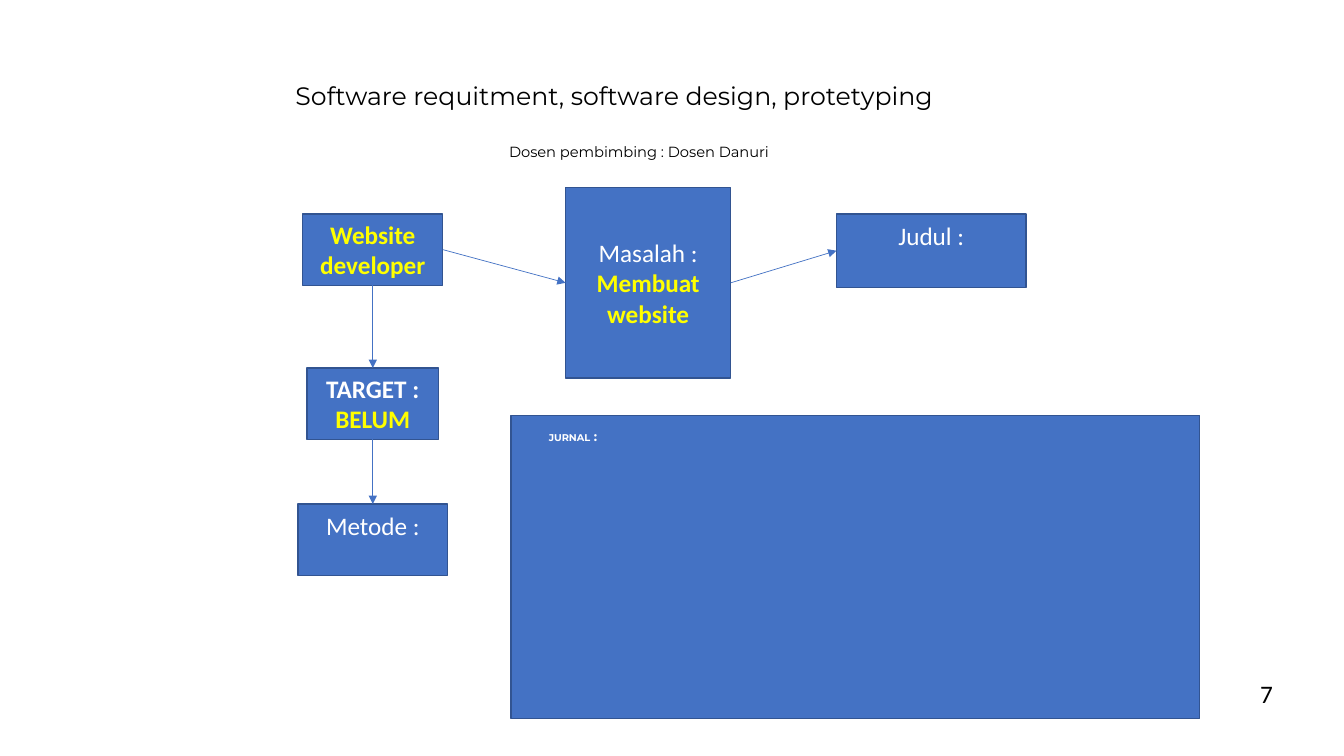
import pptx
import pptx.util
import pptx.dml.color
import pptx.enum.shapes
import pptx.enum.text
import pptx.oxml
import pptx.oxml.ns

Pt = pptx.util.Pt
BLUE, EDGE = "4472C4", "325491"
WHITE, YELLOW, BLACK = "FFFFFF", "FFFF00", "000000"
TOP, LEFT, BOTTOM, RIGHT = range(4)


def color(hex_code):
    return pptx.dml.color.RGBColor.from_string(hex_code)


def style(font, size, name, hex_code, bold=False):
    font.size, font.name, font.bold = Pt(size), name, bold
    font.color.rgb = color(hex_code)


def panel(slide, box):
    """Draw a blue rectangle with a darker edge."""
    rect = slide.shapes.add_shape(
        pptx.enum.shapes.MSO_SHAPE.RECTANGLE, *map(Pt, box))
    rect.shadow.inherit = False
    rect.fill.solid()
    rect.fill.fore_color.rgb = color(BLUE)
    rect.line.color.rgb = color(EDGE)
    rect.line.width = Pt(1)
    return rect


def step(slide, box, lines, at_top=False):
    """Draw a step of the flow; lines are (text, colour, bold)."""
    rect = panel(slide, box)
    frame = rect.text_frame
    frame.word_wrap = True
    anchors = pptx.enum.text.MSO_ANCHOR
    frame.vertical_anchor = anchors.TOP if at_top else anchors.MIDDLE
    if at_top:
        frame.margin_top = Pt(4.5)
    for i, (text, hex_code, bold) in enumerate(lines):
        paragraph = frame.add_paragraph() if i else frame.paragraphs[0]
        paragraph.text = text
        paragraph.alignment = pptx.enum.text.PP_ALIGN.CENTER
        style(paragraph.font, 18, "Calibri", hex_code, bold)
    return rect


def arrow(slide, source, source_side, target, target_side):
    link = slide.shapes.add_connector(
        pptx.enum.shapes.MSO_CONNECTOR.STRAIGHT, 0, 0, 0, 0)
    link.begin_connect(source, source_side)
    link.end_connect(target, target_side)
    link.line.color.rgb = color(BLUE)
    link.line.width = Pt(0.5)
    properties = link._element.spPr
    line = properties.find(pptx.oxml.ns.qn("a:ln"))
    namespace = pptx.oxml.ns.nsdecls("a")
    line.append(pptx.oxml.parse_xml(f'<a:tailEnd {namespace} type="triangle"/>'))
    properties.append(pptx.oxml.parse_xml(f"<a:effectLst {namespace}/>"))


def label(slide, box, text, size, name="Montserrat"):
    frame = slide.shapes.add_textbox(*map(Pt, box)).text_frame
    frame.word_wrap = False
    paragraph = frame.paragraphs[0]
    paragraph.text = text
    style(paragraph.font, size, name, BLACK)


def headings(slide, box):
    left, top, width, height = box
    label(slide, (left, top, width, 29),
          "Software requitment, software design, protetyping", 18)
    label(slide, (left + 152.5, top + 44.5, 212.5, 20),
          "Dosen pembimbing : Dosen Danuri", 10.5)


def flow(slide, box):
    left, top, width, height = box
    center, middle = left + 53.3, top + height * 0.16

    def column_step(step_top, step_width, lines, at_top=False):
        return step(slide, (center - step_width / 2, step_top, step_width, 51),
                    lines, at_top)

    developer = column_step(middle - 25.5, 100, [
        ("Website", YELLOW, True), ("developer", YELLOW, True)])
    target = column_step(top + 128.8, 94, [
        ("TARGET :", WHITE, True), ("BELUM", YELLOW, True)])
    problem = step(slide, (left + 191, top, 118, 136), [
        ("Masalah :", WHITE, False), ("Membuat website", YELLOW, True)])
    title = step(slide, (left + width - 135.5, middle - 25.5, 135.5, 52.5),
                 [("Judul :", WHITE, False)], at_top=True)
    method = column_step(top + height - 51, 106.6,
                         [("Metode :", WHITE, False)], at_top=True)

    arrow(slide, developer, BOTTOM, target, TOP)
    arrow(slide, developer, RIGHT, problem, LEFT)
    arrow(slide, problem, RIGHT, title, LEFT)
    arrow(slide, target, BOTTOM, method, TOP)


def journal(slide, box):
    panel(slide, box)
    left, top, width, height = box
    frame = slide.shapes.add_textbox(
        Pt(left + 20), Pt(top + 6), Pt(52.5), Pt(18)).text_frame
    frame.word_wrap = False
    for text, size in (("JURNAL", 7), (" :", 9)):
        run = frame.paragraphs[0].add_run()
        run.text = text
        style(run.font, size, "Montserrat", WHITE, True)


def main():
    deck = pptx.Presentation()
    deck.slide_width, deck.slide_height = Pt(960), Pt(540)
    slide = deck.slides.add_slide(deck.slide_layouts[6])
    flow(slide, (213, 134, 520, 277))
    headings(slide, (204, 54, 518, 65))
    label(slide, (893, 481, 24, 29), "7", 18, "Calibri")
    journal(slide, (365, 296.6, 492, 216.7))
    deck.save("out.pptx")


if __name__ == "__main__":
    main()
